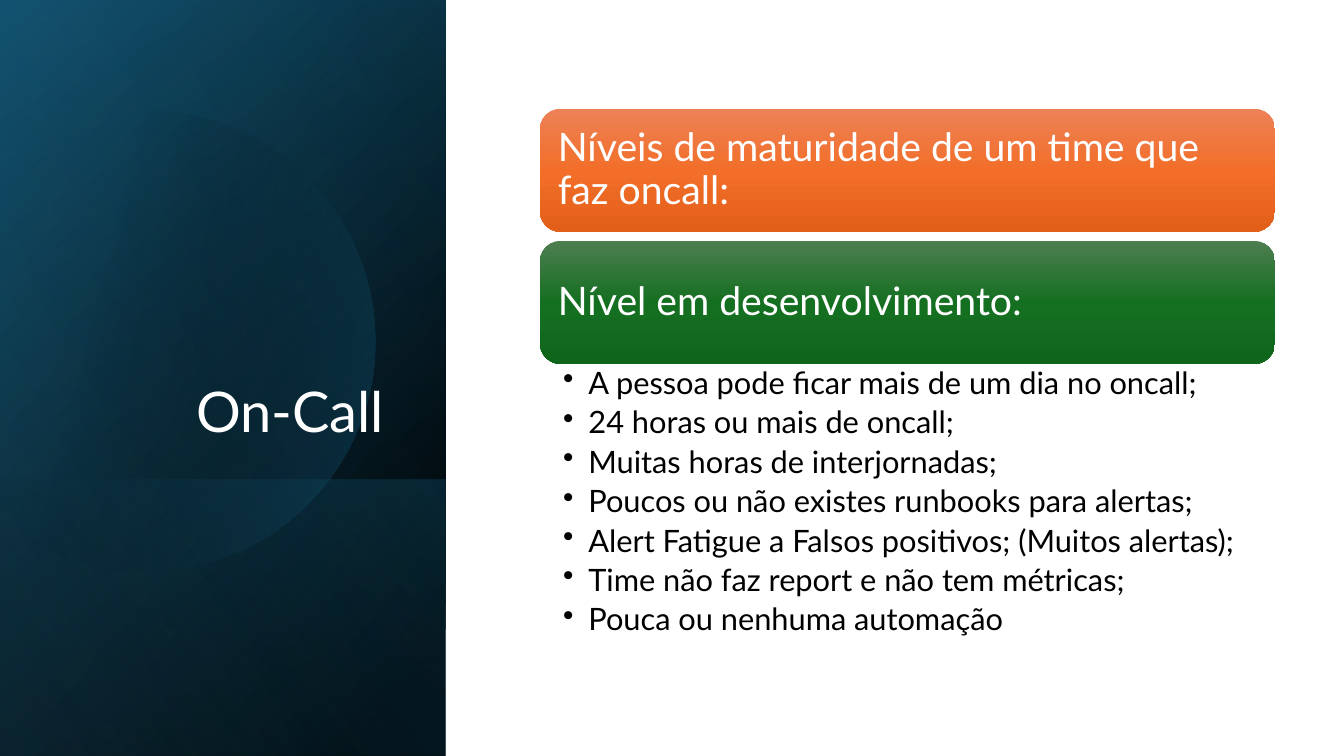
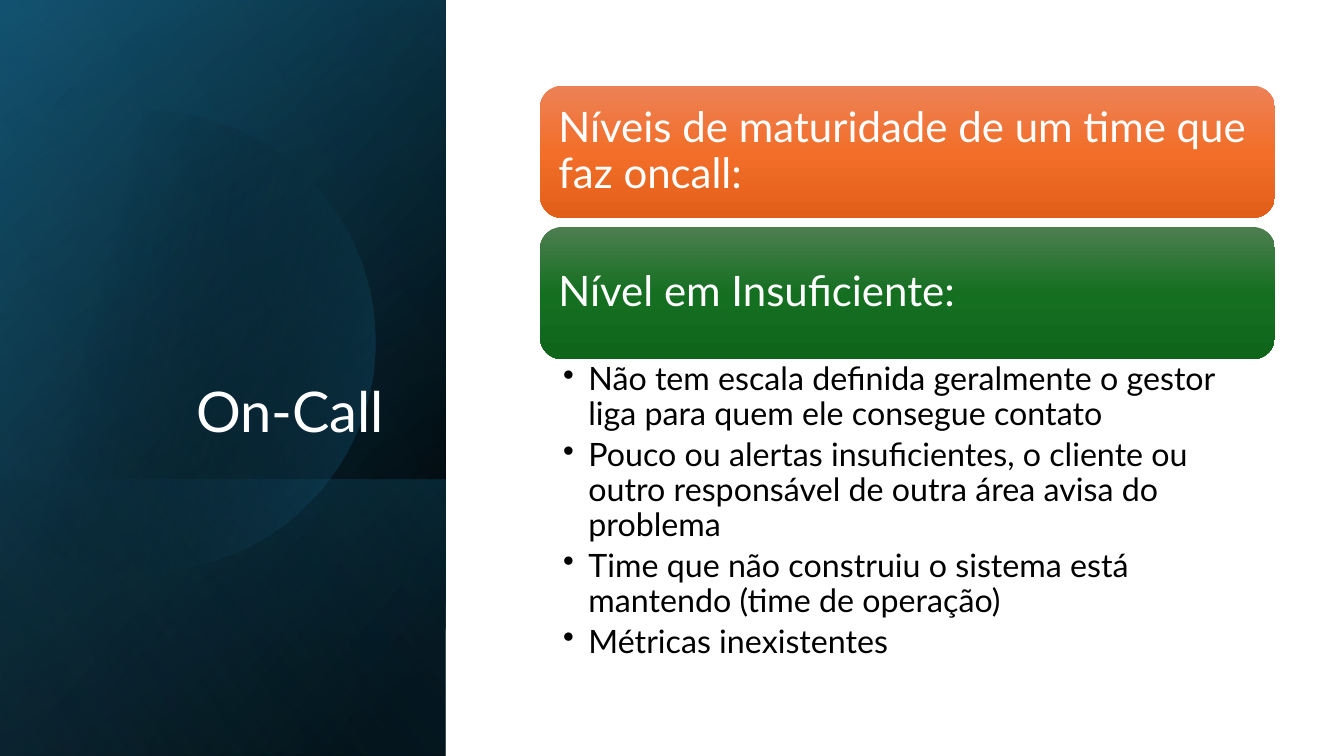
from dataclasses import dataclass

from lxml import etree
from pptx import Presentation
from pptx import util as u
from pptx.dml.color import RGBColor
from pptx.enum import shapes, text
from pptx.oxml.ns import qn


@dataclass(frozen=True)
class Theme:
    font: str = "Lato"
    title: int = 40
    white: str = "FFFFFF"
    black: str = "000000"
    blue: str = "156082"
    navy: str = "104862"
    sky: str = "46B1E1"
    orange: tuple = ("ED8257", "F26E29", "E25F1A")
    green: tuple = ("4D7E50", "156F21", "0F661B")


T = Theme()


def shade(shape, stops, angle):
    """Fill with (position, colour, opacity) stops, all in percent; angle is clockwise."""
    shape.shadow.inherit = False
    shape.line.fill.background()
    shape.fill.gradient()
    shape.fill.gradient_angle = 360 - angle
    group = shape._element.spPr.find(qn("a:gradFill")).find(qn("a:gsLst"))
    for old in list(group):
        group.remove(old)
    for pos, color, alpha in stops:
        stop = etree.SubElement(group, qn("a:gs"), pos=str(pos * 1000))
        tint = etree.SubElement(stop, qn("a:srgbClr"), val=color)
        if alpha < 100:
            etree.SubElement(tint, qn("a:alpha"), val=str(alpha * 1000))


def write(para, words, size, color):
    para.line_spacing = 0.9
    run = para.add_run()
    run.text = words
    run.font.name = T.font
    run.font.size = u.Pt(size)
    run.font.color.rgb = RGBColor.from_string(color)


# All lengths below are centimetres.
HIGH, SIDE = 19.05, 11.23
LEFT, WIDE, GAP = 13.61, 18.52, 0.23

# Panel layers: height, gradient stops, angle. Each one stands on the bottom edge.
BASE = [
    (HIGH, [(8, T.black, 100), (100, T.navy, 100)], 50),
    (HIGH, [(0, T.black, 0), (99, T.blue, 46)], 30),
    (6.96, [(2, T.blue, 29), (100, T.black, 30)], 130),
]
GLOW = (HIGH, [(0, T.black, 0), (99, T.sky, 11)], 120)

# Outline of the disc: cubic curves that meet end to end, cut off at the slide's edge.
CURVES = [
    [(0, 4.09), (0.95, 3.3), (2.3, 2.79), (3.78, 2.79)],
    [(3.78, 2.79), (6.25, 2.84), (8.51, 4.5), (9.22, 6.99)],
    [(9.22, 6.99), (10.11, 10.08), (8.33, 13.28), (5.26, 14.17)],
    [(5.26, 14.17), (3.33, 14.73), (1.35, 14.25), (0, 13.12)],
]
STEPS = 24
disc = []
for curve in CURVES:
    for step in range(STEPS + 1):
        t = step / STEPS
        parts = ((1 - t) ** 3, 3 * t * (1 - t) ** 2, 3 * t * t * (1 - t), t ** 3)
        disc.append(tuple(u.Cm(sum(k * pt[axis] for k, pt in zip(parts, curve)))
                          for axis in (0, 1)))

HEAD = "Níveis de maturidade de um time que faz oncall:"
PAGES = [
    dict(top=2.74, bar=3.1, list=7.42, head=28, body=22,
         level="Nível em desenvolvimento:",
         items=["A pessoa pode ficar mais de um dia no oncall;",
                "24 horas ou mais de oncall;",
                "Muitas horas de interjornadas;",
                "Poucos ou não existes runbooks para alertas;",
                "Alert Fatigue a Falsos positivos; (Muitos alertas);",
                "Time não faz report e não tem métricas;",
                "Pouca ou nenhuma automação"]),
    dict(top=2.16, bar=3.33, list=8.1, head=30, body=23,
         level="Nível em Insuficiente:",
         items=["Não tem escala definida geralmente o gestor liga para quem ele consegue contato",
                "Pouco ou alertas insuficientes, o cliente ou outro responsável de outra área "
                "avisa do problema",
                "Time que não construiu o sistema está mantendo (time de operação)",
                "Métricas inexistentes"]),
]

deck = Presentation()
deck.slide_width, deck.slide_height = u.Cm(33.87), u.Cm(HIGH)

for page in PAGES:
    slide = deck.slides.add_slide(deck.slide_layouts[6])
    draw = slide.shapes

    # Side panel: the layers are turned a quarter and mirrored, with the disc under the glow
    for tall, stops, angle in BASE + [GLOW]:
        if (tall, stops, angle) == GLOW:
            pen = draw.build_freeform(*disc[0])
            pen.add_line_segments(disc[1:], close=True)
            shade(pen.convert_to_shape(), [(29, T.black, 0), (100, T.blue, 43)], 14)
        layer = draw.add_shape(shapes.MSO_SHAPE.RECTANGLE,
                               u.Cm((SIDE - tall) / 2), u.Cm(HIGH - (tall + SIDE) / 2),
                               u.Cm(tall), u.Cm(SIDE))
        layer.rotation = 90
        layer._element.spPr.find(qn("a:xfrm")).set("flipH", "1")
        shade(layer, stops, angle)

    # Title
    frame = draw.add_textbox(u.Cm(1.63), u.Cm(4.67), u.Cm(8.66), u.Cm(6.65)).text_frame
    frame.word_wrap = True
    frame.vertical_anchor = text.MSO_ANCHOR.BOTTOM
    frame.paragraphs[0].alignment = text.PP_ALIGN.RIGHT
    write(frame.paragraphs[0], "On-Call ", T.title, T.white)

    # Heading bars
    top = page["top"]
    for words, tones in ((HEAD, T.orange), (page["level"], T.green)):
        bar = draw.add_shape(shapes.MSO_SHAPE.ROUNDED_RECTANGLE,
                             u.Cm(LEFT), u.Cm(top), u.Cm(WIDE), u.Cm(page["bar"]))
        shade(bar, [(pos, tone, 100) for pos, tone in zip((0, 50, 100), tones)], 90)
        frame = bar.text_frame
        frame.word_wrap = True
        frame.vertical_anchor = text.MSO_ANCHOR.MIDDLE
        frame.margin_left = frame.margin_right = u.Cm(0.3)
        frame.margin_top = frame.margin_bottom = u.Cm(0.3)
        frame.paragraphs[0].alignment = text.PP_ALIGN.LEFT
        write(frame.paragraphs[0], words, page["head"], T.white)
        top += page["bar"] + GAP

    # Bullet list, right under the second bar
    frame = draw.add_textbox(u.Cm(LEFT), u.Cm(top - GAP),
                             u.Cm(WIDE), u.Cm(page["list"])).text_frame
    frame.word_wrap = True
    frame.margin_left = frame.margin_right = u.Cm(0.58)
    frame.margin_top = frame.margin_bottom = u.Cm(0.1)
    for num, item in enumerate(page["items"]):
        para = frame.add_paragraph() if num else frame.paragraphs[0]
        write(para, item, page["body"], T.black)
        para.space_after = u.Pt(page["body"] * 0.2)
        props = para._p.get_or_add_pPr()
        props.set("marL", str(u.Cm(0.64)))
        props.set("indent", str(-u.Cm(0.64)))
        etree.SubElement(props, qn("a:buChar"), char="•")

deck.save("out.pptx")
